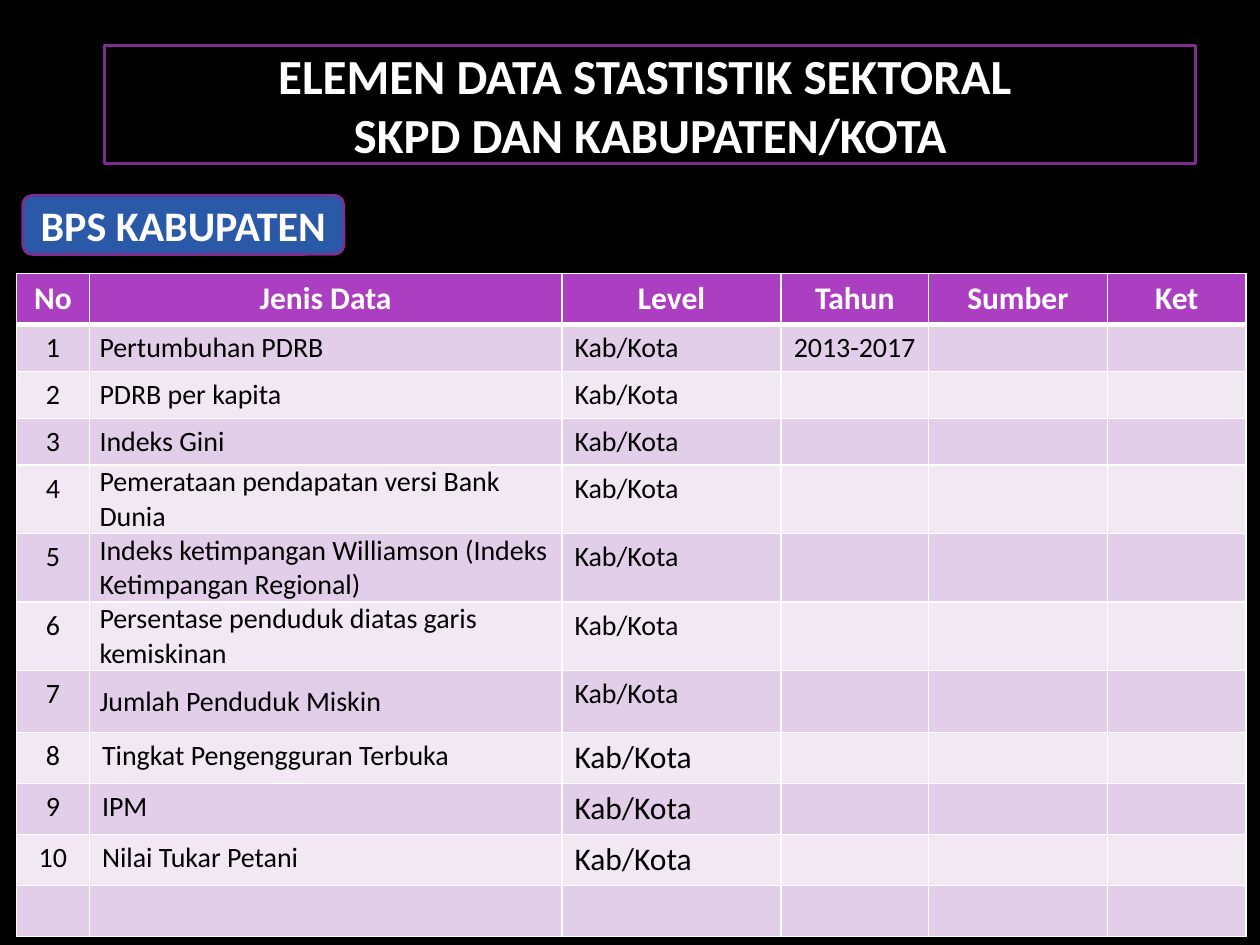
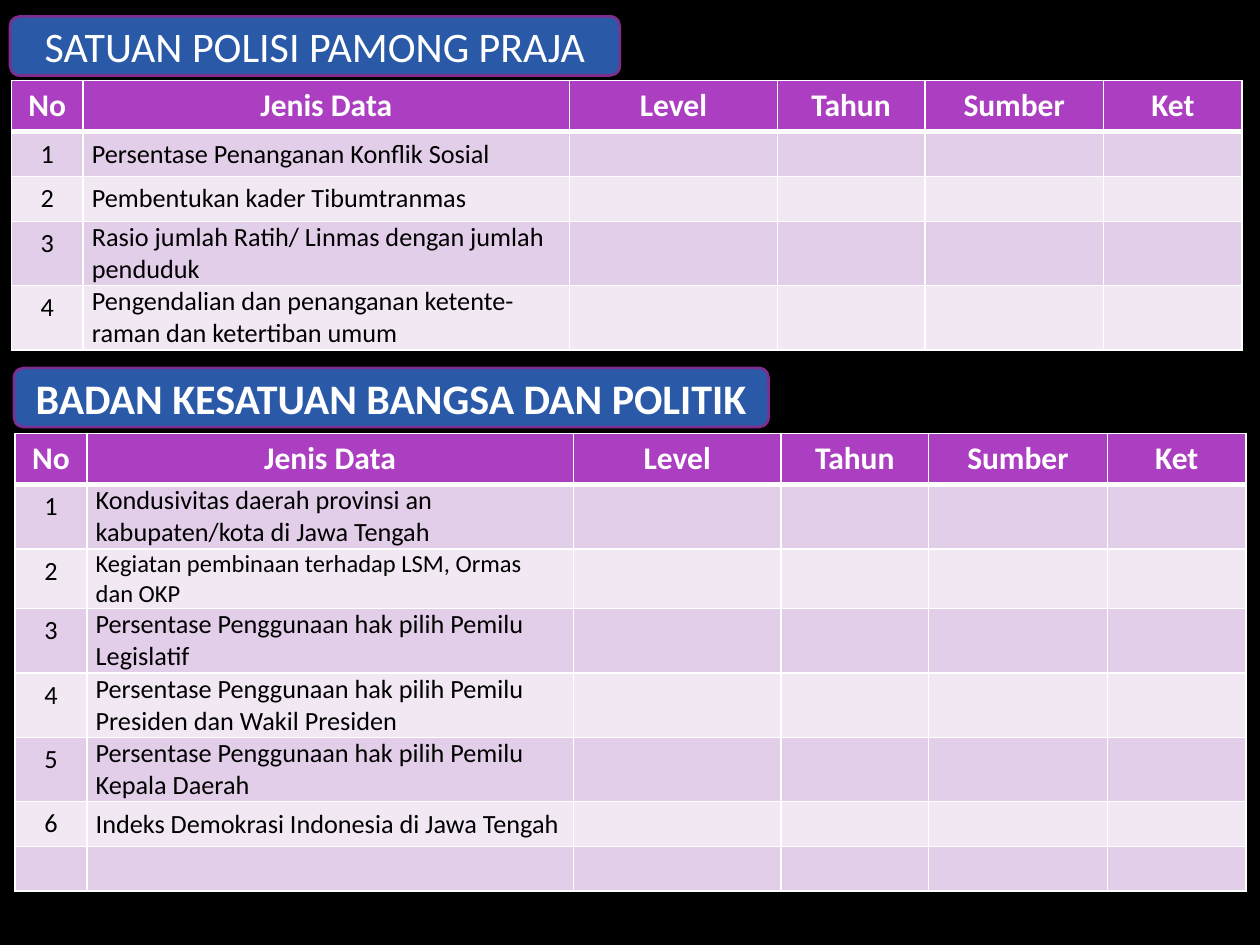
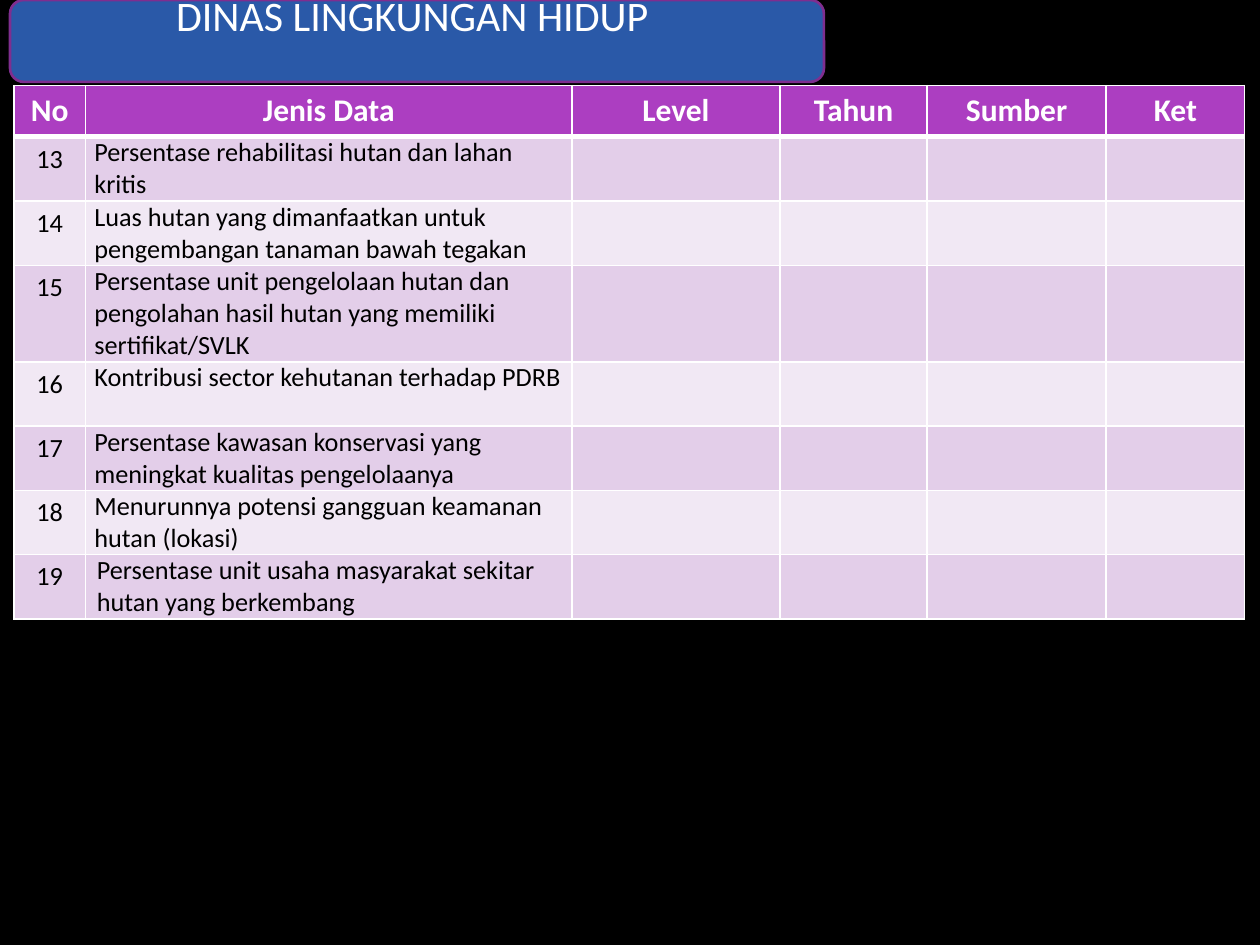
from lxml import etree
from pptx import Presentation
from pptx.dml.color import RGBColor
from pptx.enum.shapes import MSO_SHAPE
from pptx.enum.text import MSO_ANCHOR, MSO_AUTO_SIZE, PP_ALIGN
from pptx.oxml.ns import qn
from pptx.util import Inches, Pt

ROUNDED = MSO_SHAPE.ROUNDED_RECTANGLE
CENTER, LEFT = PP_ALIGN.CENTER, PP_ALIGN.LEFT
TOP, MIDDLE = MSO_ANCHOR.TOP, MSO_ANCHOR.MIDDLE

BLACK = RGBColor(0x00, 0x00, 0x00)
WHITE = RGBColor(0xFF, 0xFF, 0xFF)
BLUE = RGBColor(0x2A, 0x59, 0xA8)
PURPLE = RGBColor(0x7F, 0x2E, 0x8F)
HEADER = RGBColor(0xAC, 0x3E, 0xC1)
BANDS = (RGBColor(0xE3, 0xCE, 0xE9), RGBColor(0xF1, 0xE8, 0xF4))

FONT = "Calibri"
LINE_HEIGHT = 1.22 / 72  # inches per point of text size
CELL_PADDING = 0.1
HEADER_SIZE = 18
TITLE_LAYOUT, BLANK_LAYOUT = 5, 6

TITLE = ("ELEMEN DATA STASTISTIK SEKTORAL ", "SKPD DAN KABUPATEN/KOTA")
TITLE_BOX = (0.83, 0.36, 8.66, 0.94)
COLUMNS = ("No", "Jenis Data", "Level", "Tahun", "Sumber", "Ket")
WIDE_LEVEL = (0.58, 3.75, 1.74, 1.17, 1.42, 1.1)
WIDE_DATA = (0.57, 3.86, 1.65, 1.17, 1.42, 1.1)
LOOSE = {"inset": 0.1, "anchor": TOP, "level_size": 18}

# Each row: number, data name, lines of text, and any exceptions.
SLIDES = [
    [
        {
            "heading": "BPS KABUPATEN", "bold": True,
            "box": (0.18, 1.55, 2.55, 0.47),
            "table_at": (0.13, 2.17), "widths": WIDE_LEVEL,
            "size": 16, "inset": 0.08, "level": "Kab/Kota",
            "rows": [
                ("1", "Pertumbuhan PDRB", 1, {"year": "2013-2017"}),
                ("2", "PDRB per kapita", 1, {}),
                ("3", "Indeks Gini", 1, {}),
                ("4", "Pemerataan pendapatan versi Bank Dunia", 2, {}),
                ("5", "Indeks ketimpangan Williamson (Indeks Ketimpangan Regional)", 2, {}),
                ("6", "Persentase penduduk diatas garis kemiskinan", 2, {}),
                ("7", "Jumlah Penduduk Miskin", 1, {"height": 0.49}),
                ("8", "Tingkat Pengengguran Terbuka", 1, LOOSE),
                ("9", "IPM", 1, LOOSE),
                ("10", "Nilai Tukar Petani", 1, LOOSE),
                ("", "", 1, LOOSE),
            ],
        },
    ],
    [
        {
            "heading": "SATUAN POLISI PAMONG PRAJA", "bold": False,
            "box": (0.08, 0.13, 4.84, 0.47),
            "table_at": (0.09, 0.64), "widths": WIDE_DATA,
            "size": 15, "inset": 0.07, "level": "",
            "rows": [
                ("1", "Persentase Penanganan Konflik Sosial", 1, {}),
                ("2", "Pembentukan kader Tibumtranmas", 1, {}),
                ("3", "Rasio jumlah Ratih/ Linmas dengan jumlah penduduk", 2, {}),
                ("4", "Pengendalian dan penanganan ketente-raman dan ketertiban umum", 2, {}),
            ],
        },
        {
            "heading": "BADAN KESATUAN BANGSA DAN POLITIK", "bold": True,
            "box": (0.11, 2.92, 5.99, 0.47),
            "table_at": (0.12, 3.44), "widths": WIDE_DATA,
            "size": 15, "inset": 0.07, "level": "",
            "rows": [
                ("1", "Kondusivitas daerah provinsi an kabupaten/kota di Jawa Tengah", 2, {}),
                ("2", "Kegiatan pembinaan terhadap LSM, Ormas dan OKP", 2, {"data_size": 14}),
                ("3", "Persentase Penggunaan hak pilih Pemilu Legislatif", 2, {}),
                ("4", "Persentase Penggunaan hak pilih Pemilu Presiden dan Wakil Presiden", 2, {}),
                ("5", "Persentase Penggunaan hak pilih Pemilu Kepala Daerah", 2, {}),
                ("6", "Indeks Demokrasi Indonesia di Jawa Tengah", 1, {}),
                ("", "", 1, {}),
            ],
        },
    ],
    [
        {
            "heading": "DINAS LINGKUNGAN HIDUP ", "bold": False,
            "box": (0.08, 0, 6.46, 0.65), "margins": (0, 0.41),
            "table_at": (0.11, 0.68), "widths": WIDE_DATA,
            "size": 15, "inset": 0.07, "level": "",
            "rows": [
                ("13", "Persentase rehabilitasi hutan dan lahan kritis", 2, {}),
                ("14", "Luas hutan yang dimanfaatkan untuk pengembangan tanaman bawah tegakan", 2, {}),
                ("15", "Persentase unit pengelolaan hutan dan pengolahan hasil hutan "
                       "yang memiliki sertifikat/SVLK", 3, {}),
                ("16", "Kontribusi sector kehutanan terhadap PDRB", 2, {"anchor": TOP}),
                ("17", "Persentase kawasan konservasi yang meningkat kualitas pengelolaanya", 2, {}),
                ("18", "Menurunnya potensi gangguan keamanan hutan (lokasi)", 2, {}),
                ("19", "Persentase unit usaha masyarakat sekitar hutan yang berkembang", 2,
                 {"inset": 0.09, "right_inset": 0}),
            ],
        },
    ],
]


def write(paragraph, text, size, color, bold=False, alignment=CENTER):
    paragraph.alignment = alignment
    run = paragraph.add_run()
    run.text = text
    run.font.color.rgb = color
    for name, value in {"name": FONT, "size": Pt(size), "bold": bold}.items():
        setattr(run.font, name, value)


def outline(shape):
    shape.line.color.rgb = PURPLE
    shape.line.width = Pt(1.5)


def add_title(slide):
    title = slide.shapes.title
    for name, value in zip(("left", "top", "width", "height"), TITLE_BOX):
        setattr(title, name, Inches(value))
    outline(title)
    frame = title.text_frame
    frame.auto_size = MSO_AUTO_SIZE.NONE
    frame.vertical_anchor = MIDDLE
    for index, line in enumerate(TITLE):
        paragraph = frame.add_paragraph() if index else frame.paragraphs[0]
        write(paragraph, line, 28, WHITE, bold=True)


def add_heading(slide, section):
    shape = slide.shapes.add_shape(ROUNDED, *map(Inches, section["box"]))
    shape.shadow.inherit = False
    shape.fill.solid()
    shape.fill.fore_color.rgb = BLUE
    outline(shape)
    frame = shape.text_frame
    frame.word_wrap = True
    frame.vertical_anchor = MIDDLE
    frame.margin_top, frame.margin_bottom = map(Inches, section.get("margins", (0.05, 0.05)))
    write(frame.paragraphs[0], section["heading"], 24, WHITE, section["bold"])


def set_borders(cell, row_index):
    """Draw white cell edges, with a thicker rule below the header row."""
    properties = cell._tc.get_or_add_tcPr()
    widths = {"L": 1, "R": 1, "T": 3 if row_index == 1 else 1, "B": 3 if row_index == 0 else 1}
    for position, (side, width) in enumerate(widths.items()):
        line = etree.Element(qn(f"a:ln{side}"), w=str(Pt(width)))
        fill = etree.SubElement(line, qn("a:solidFill"))
        etree.SubElement(fill, qn("a:srgbClr"), val=str(WHITE))
        properties.insert(position, line)


def row_height(section, lines, options):
    """Fit the padded one-line cells and the unpadded data cell."""
    padded_size = options.get("level_size", section["size"])
    data_size = options.get("data_size", section["size"])
    fitted = max(padded_size * LINE_HEIGHT + CELL_PADDING, lines * data_size * LINE_HEIGHT)
    return options.get("height", fitted)


def fill_data_cell(cell, text, section, options):
    cell.vertical_anchor = options.get("anchor", MIDDLE)
    cell.margin_left = Inches(options.get("inset", section["inset"]))
    cell.margin_right = Inches(options.get("right_inset", 0.07))
    if options is not LOOSE:
        cell.margin_top = cell.margin_bottom = 0
    write(cell.text_frame.paragraphs[0], text, options.get("data_size", section["size"]),
          BLACK, alignment=LEFT)


def fill_row(cells, row, section):
    number, data, _, options = row
    size = section["size"]
    level = section["level"] if number else ""
    plain_cells = {
        0: (number, size, CENTER),
        2: (level, options.get("level_size", size), LEFT),
        3: (options.get("year", ""), size, LEFT),
    }
    for column, cell in enumerate(cells):
        text, text_size, alignment = plain_cells.get(column, ("", size, LEFT))
        if column == 1 and data:
            fill_data_cell(cell, data, section, options)
        elif text:
            write(cell.text_frame.paragraphs[0], text, text_size, BLACK, alignment=alignment)
        else:
            cell.margin_top = cell.margin_bottom = 0


def add_data_table(slide, section):
    rows, widths = section["rows"], section["widths"]
    heights = [HEADER_SIZE * LINE_HEIGHT + CELL_PADDING]
    heights += [row_height(section, lines, options) for _, _, lines, options in rows]
    left, top = section["table_at"]
    table = slide.shapes.add_table(
        len(heights), len(COLUMNS), Inches(left), Inches(top),
        Inches(sum(widths)), Inches(sum(heights))).table
    for column, width in zip(table.columns, widths):
        column.width = Inches(width)
    for row_index, height in enumerate(heights):
        table.rows[row_index].height = Inches(height)
        cells = list(table.rows[row_index].cells)
        for cell in cells:
            cell.fill.solid()
            cell.fill.fore_color.rgb = BANDS[(row_index - 1) % 2] if row_index else HEADER
            set_borders(cell, row_index)
        if row_index:
            fill_row(cells, rows[row_index - 1], section)
        else:
            for cell, label in zip(cells, COLUMNS):
                write(cell.text_frame.paragraphs[0], label, HEADER_SIZE, WHITE, bold=True)


def main():
    presentation = Presentation()
    presentation.slide_width, presentation.slide_height = Inches(10), Inches(7.5)
    background = presentation.slide_master.background.fill
    background.solid()
    background.fore_color.rgb = BLACK
    for index, sections in enumerate(SLIDES):
        layout = BLANK_LAYOUT if index else TITLE_LAYOUT
        slide = presentation.slides.add_slide(presentation.slide_layouts[layout])
        if slide.shapes.title is not None:
            add_title(slide)
        for section in sections:
            add_heading(slide, section)
            add_data_table(slide, section)
    presentation.save("out.pptx")


if __name__ == "__main__":
    main()
